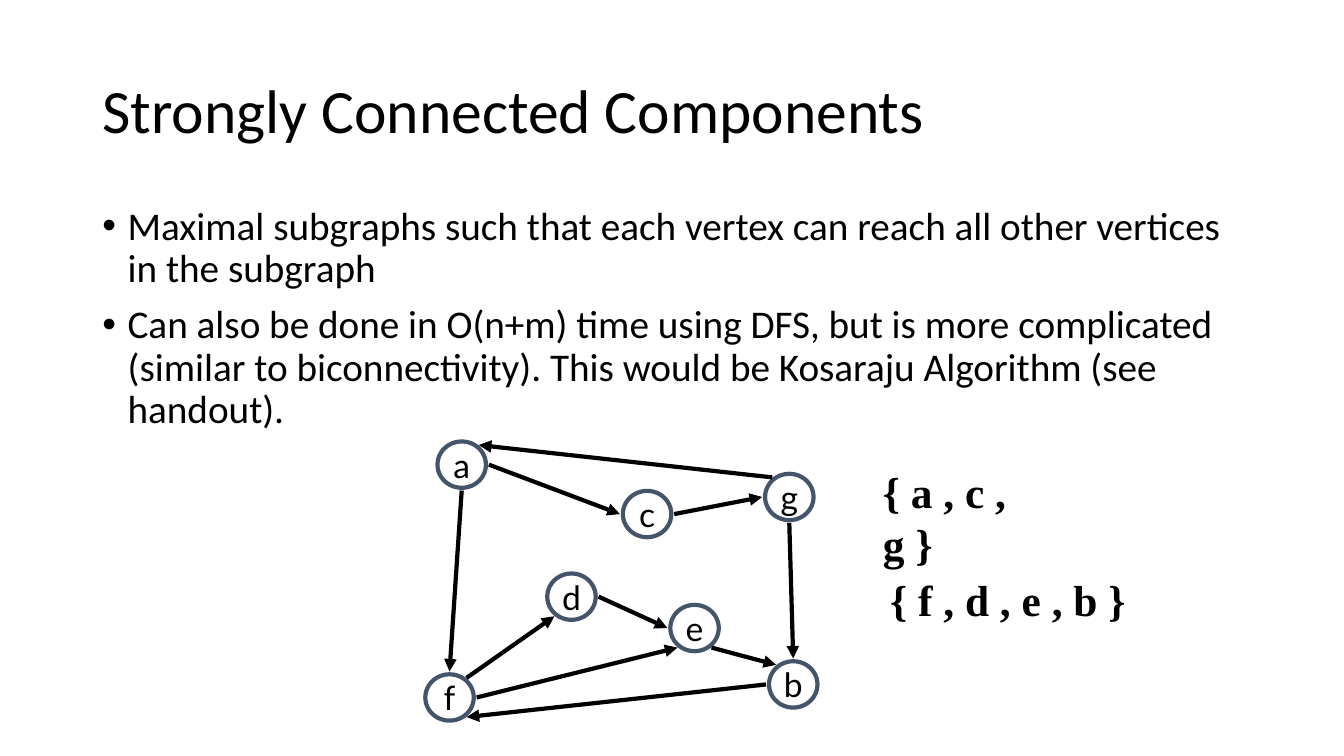
"""Build a slide on strongly connected components with a directed graph."""
from lxml import etree
from pptx import Presentation
from pptx import util as u
from pptx.dml import color
from pptx.enum import shapes, text
from pptx.oxml import ns

BLACK, WHITE, SLATE = "000000", "FFFFFF", "44546A"
NODE_WIDTH, NODE_HEIGHT = 34.6, 33.1
CENTERS = {
    "a": (329.8, 331.9), "d": (408.2, 426.2), "c": (462.2, 367.2),
    "b": (566.6, 488.9), "e": (496.1, 448.6), "f": (321.1, 498.2),
    "g": (563.8, 355),
}
SITES = {
    "N": (0, -18.5), "S": (0, 18.5), "E": (19.4, 0), "W": (-19.4, 0),
    "NE": (12.2, -14), "NW": (-12.2, -14), "SE": (12.2, 14), "SW": (-12.2, 14),
}
EDGES = [
    ("a", "S", "f", "N"), ("a", "E", "c", "W"), ("g", "NW", "a", "NE"),
    ("c", "E", "g", "W"), ("g", "S", "b", "N"), ("d", "E", "e", "W"),
    ("e", "SE", "b", "NW"), ("f", "NE", "d", "SW"), ("f", "E", "e", "SW"),
    ("b", "W", "f", "SE"),
]
BULLETS = [
    "Maximal subgraphs such that each vertex can reach all other vertices in the subgraph",
    "Can also be done in O(n+m) time using DFS, but is more complicated "
    "(similar to biconnectivity). This would be Kosaraju Algorithm (see handout).",
]
COMPONENTS = [("{ a , c , g }", (630.7, 331.9, 131, 37.4)),
              ("{ f , d , e , b }", (635.8, 409, 168.5, 37.4))]


def rgb(code):
    return color.RGBColor.from_string(code)


def site(name, side):
    return [u.Pt(center + shift) for center, shift in zip(CENTERS[name], SITES[side])]


class GraphSlide:
    font = "Calibri"
    node_font = "Lato"
    set_font = "Times New Roman"
    line_width = 3

    def __init__(self, deck):
        self.page = deck.slides.add_slide(deck.slide_layouts[1])

    def place(self, box, bounds):
        box.left, box.top, box.width, box.height = [u.Pt(value) for value in bounds]

    def add_span(self, para, words, size, font, bold=False):
        span = para.add_run()
        span.text = words
        span.font.size = u.Pt(size)
        span.font.name = font
        span.font.bold = bold
        span.font.color.rgb = rgb(BLACK)

    def title(self, words, bounds):
        box = self.page.shapes.title
        self.place(box, bounds)
        frame = box.text_frame
        frame.auto_size = text.MSO_AUTO_SIZE.NONE
        frame.vertical_anchor = text.MSO_ANCHOR.MIDDLE
        para = frame.paragraphs[0]
        para.alignment = text.PP_ALIGN.LEFT
        para.line_spacing = 0.9
        self.add_span(para, words, 44, self.font)

    def bullets(self, items, bounds):
        box = self.page.placeholders[1]
        self.place(box, bounds)
        frame = box.text_frame
        frame.auto_size = text.MSO_AUTO_SIZE.NONE
        for index, item in enumerate(items):
            para = frame.add_paragraph() if index else frame.paragraphs[0]
            para.line_spacing = 0.9
            para.space_before = u.Pt(10)
            props = para._p.get_or_add_pPr()
            props.set("marL", str(u.Pt(18)))
            props.set("indent", str(u.Pt(-18)))
            etree.SubElement(props, ns.qn("a:buFont"), typeface="Arial")
            etree.SubElement(props, ns.qn("a:buChar"), char="•")
            self.add_span(para, item, 28, self.font)

    def component(self, words, bounds):
        box = self.page.shapes.add_textbox(*[u.Pt(value) for value in bounds])
        frame = box.text_frame
        frame.margin_left = frame.margin_right = 0
        frame.margin_top = frame.margin_bottom = 0
        frame.word_wrap = False
        frame.auto_size = text.MSO_AUTO_SIZE.SHAPE_TO_FIT_TEXT
        self.add_span(frame.paragraphs[0], words, 31, self.set_font, bold=True)

    def node(self, name, center):
        x, y = center
        bounds = (x - NODE_WIDTH / 2, y - NODE_HEIGHT / 2, NODE_WIDTH, NODE_HEIGHT)
        shape = self.page.shapes.add_shape(
            shapes.MSO_SHAPE.OVAL, *[u.Pt(value) for value in bounds])
        shape.shadow.inherit = False
        shape.fill.solid()
        shape.fill.fore_color.rgb = rgb(WHITE)
        shape.line.color.rgb = rgb(SLATE)
        shape.line.width = u.Pt(self.line_width)
        frame = shape.text_frame
        frame.word_wrap = False
        frame.vertical_anchor = text.MSO_ANCHOR.MIDDLE
        para = frame.paragraphs[0]
        para.alignment = text.PP_ALIGN.CENTER
        self.add_span(para, name, 24, self.node_font)

    def edge(self, source, source_side, target, target_side):
        arrow = self.page.shapes.add_connector(
            shapes.MSO_CONNECTOR.STRAIGHT,
            *site(source, source_side), *site(target, target_side))
        arrow.line.color.rgb = rgb(BLACK)
        arrow.line.width = u.Pt(self.line_width)
        outline = arrow._element.spPr.find(ns.qn("a:ln"))
        etree.SubElement(outline, ns.qn("a:tailEnd"), type="triangle")
        etree.SubElement(arrow._element.spPr, ns.qn("a:effectLst"))


def main():
    deck = Presentation()
    deck.slide_width, deck.slide_height = u.Pt(960), u.Pt(540)
    slide = GraphSlide(deck)
    slide.title("Strongly Connected Components", (66, 28.75, 828, 104.4))
    slide.bullets(BULLETS, (66, 143.75, 828, 342.6))
    for words, bounds in COMPONENTS:
        slide.component(words, bounds)
    for name, center in CENTERS.items():
        slide.node(name, center)
    for edge in EDGES:
        slide.edge(*edge)
    deck.save("out.pptx")


if __name__ == "__main__":
    main()
